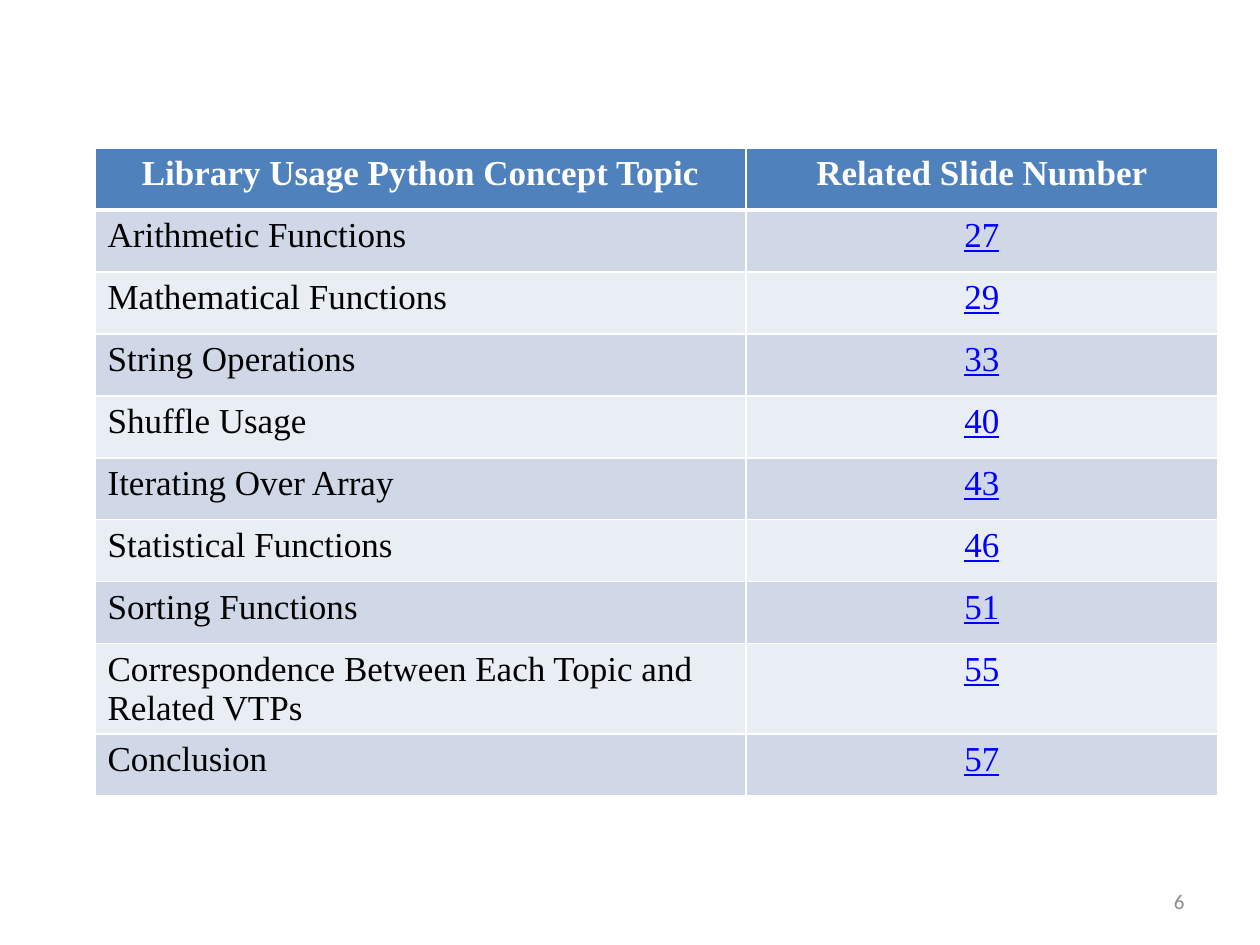
from dataclasses import dataclass

from lxml.etree import SubElement
from pptx import Presentation
from pptx.dml.color import RGBColor
from pptx.enum.text import MSO_ANCHOR as Anchor, PP_ALIGN as Align
from pptx.oxml.ns import qn
from pptx.util import Emu, Pt

# Content
HEADERS = ("Library Usage Python Concept Topic", "Related Slide Number")
TOPICS = [
    ("Arithmetic Functions", 27),
    ("Mathematical Functions", 29),
    ("String Operations", 33),
    ("Shuffle Usage", 40),
    ("Iterating Over Array", 43),
    ("Statistical Functions", 46),
    ("Sorting Functions", 51),
    ("Correspondence Between Each Topic and Related VTPs", 55),
    ("Conclusion", 57),
]
PAGE_NUMBER = "6"

# Layout in px
SLIDE_SIZE = (1260, 945)
TABLE_LEFT, TABLE_TOP = 95, 148
COLUMN_WIDTHS = (651, 472)
ROW_HEIGHT = 62
PAGE_NUMBER_BOX = (903, 876, 294, 50)


@dataclass(frozen=True)
class Theme:
    table_font: str = "Times New Roman"
    page_font: str = "Calibri"
    table_size: int = 20
    page_size: int = 12
    header_fill: str = "4F81BD"
    bands: tuple = ("D0D8E8", "E9EDF4")
    white: str = "FFFFFF"
    text: str = "000000"
    link: str = "0000FF"
    page_color: str = "8C8C8C"
    border: int = 1
    header_border: int = 3


THEME = Theme()


def px(value):
    return Emu(value * 914400 // 126)


def write_text(frame, text, *, font=THEME.table_font, size=THEME.table_size,
               color=THEME.text, bold=False, underline=False, align=Align.LEFT):
    paragraph = frame.paragraphs[0]
    paragraph.alignment = align
    run = paragraph.add_run()
    run.text = text
    run.font.name = font
    run.font.size = Pt(size)
    run.font.bold = bold
    run.font.underline = underline
    run.font.color.rgb = RGBColor.from_string(color)


def style_cell(cell, fill, top, bottom):
    properties = cell._tc.get_or_add_tcPr()
    widths = {"lnL": THEME.border, "lnR": THEME.border, "lnT": top, "lnB": bottom}
    for side, width in widths.items():
        line = SubElement(properties, qn(f"a:{side}"), w=str(Pt(width)))
        solid = SubElement(line, qn("a:solidFill"))
        SubElement(solid, qn("a:srgbClr"), val=THEME.white)
    cell.fill.solid()
    cell.fill.fore_color.rgb = RGBColor.from_string(fill)


def add_topic_table(slide):
    row_count = len(TOPICS) + 1
    table = slide.shapes.add_table(
        row_count, len(COLUMN_WIDTHS), px(TABLE_LEFT), px(TABLE_TOP),
        px(sum(COLUMN_WIDTHS)), px(ROW_HEIGHT * row_count)).table
    for column, width in zip(table.columns, COLUMN_WIDTHS):
        column.width = px(width)
    for row in table.rows:
        row.height = px(ROW_HEIGHT)

    # Header row
    for index, header in enumerate(HEADERS):
        cell = table.cell(0, index)
        style_cell(cell, THEME.header_fill, THEME.border, THEME.header_border)
        write_text(cell.text_frame, header, color=THEME.white, bold=True,
                   align=Align.CENTER)

    # Banded topic rows
    for index, (topic, number) in enumerate(TOPICS, start=1):
        topic_cell, number_cell = table.cell(index, 0), table.cell(index, 1)
        top = THEME.header_border if index == 1 else THEME.border
        for cell in (topic_cell, number_cell):
            style_cell(cell, THEME.bands[(index - 1) % 2], top, THEME.border)
        write_text(topic_cell.text_frame, topic)
        write_text(number_cell.text_frame, str(number), color=THEME.link,
                   underline=True, align=Align.CENTER)


def add_page_number(slide):
    frame = slide.shapes.add_textbox(*map(px, PAGE_NUMBER_BOX)).text_frame
    frame.word_wrap = True
    frame.vertical_anchor = Anchor.MIDDLE
    write_text(frame, PAGE_NUMBER, font=THEME.page_font, size=THEME.page_size,
               color=THEME.page_color, align=Align.RIGHT)


def main():
    presentation = Presentation()
    presentation.slide_width, presentation.slide_height = map(px, SLIDE_SIZE)
    blank_layout = presentation.slide_layouts[6]
    slide = presentation.slides.add_slide(blank_layout)
    add_topic_table(slide)
    add_page_number(slide)
    presentation.save("out.pptx")


if __name__ == "__main__":
    main()
